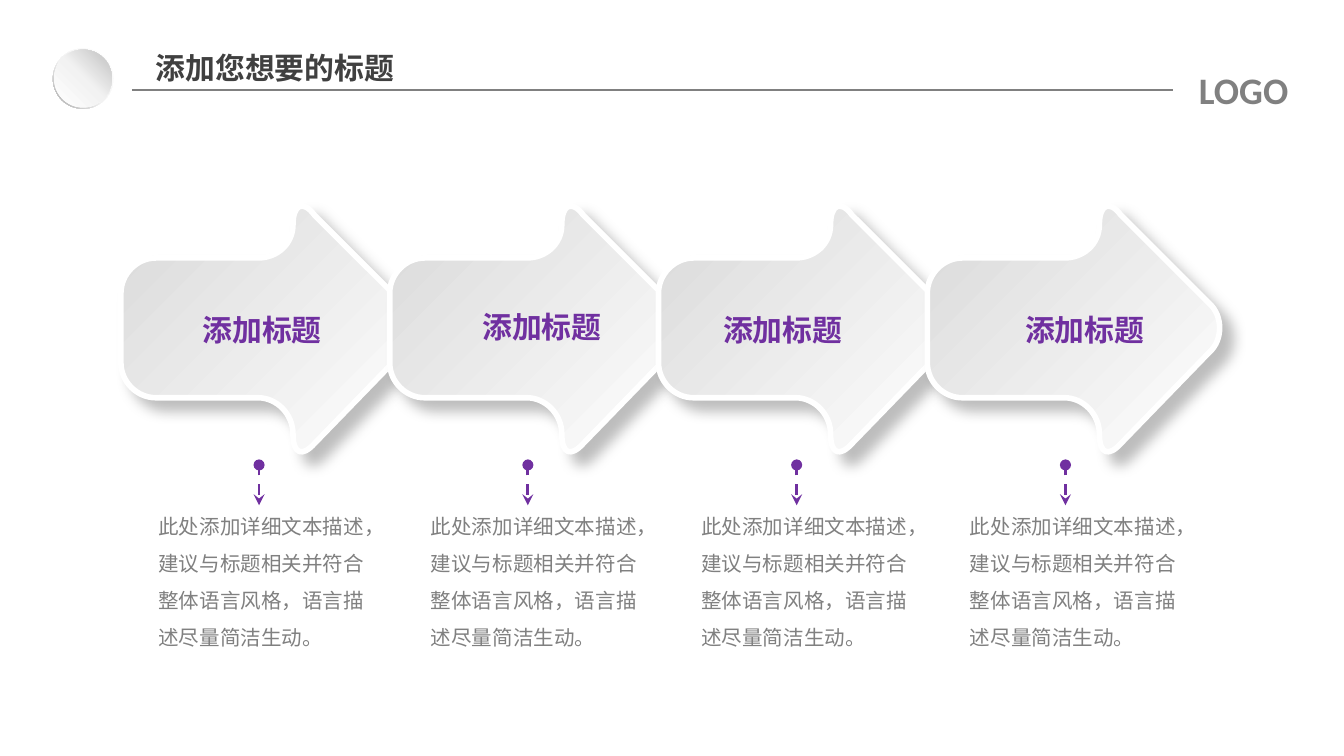
from lxml.etree import SubElement
from pptx import Presentation
from pptx.dml.color import RGBColor
from pptx.enum.dml import MSO_LINE
from pptx.enum.shapes import MSO_CONNECTOR as Connector, MSO_SHAPE as Shape
from pptx.enum.text import MSO_ANCHOR as Anchor, MSO_AUTO_SIZE as AutoSize, PP_ALIGN as Align
from pptx.oxml.ns import qn
from pptx.util import Pt

CJK_FONT = "Noto Sans CJK SC"
GRAY, PURPLE = "808080", "7030A0"
DESCRIPTION = "此处添加详细文本描述，建议与标题相关并符合整体语言风格，语言描述尽量简洁生动。"

TITLE_STYLE = dict(size=16, font=CJK_FONT, color="404040", bold=True, spacing=19.4)
LOGO_STYLE = dict(size=20, font="Calibri", color=GRAY, bold=True, align=Align.CENTER)
STEP_STYLE = dict(TITLE_STYLE, color=PURPLE, align=Align.CENTER)
BODY_STYLE = dict(size=11, font=CJK_FONT, color=GRAY, spacing=19.8)
WIDE_MARGINS, NARROW_MARGINS = (7.2, 3.6), (5.4, 2.7)

ARROW_LEFT, ARROW_PITCH = 64.8, 144
# Corner curves of the arrow, joined by straight lines; x counts from its left edge
ARROW_CURVES = [
    [(151.2, 188.6), (158.4, 182.2), (158.4, 169.2), (151.2, 162.7)],
    [(103.7, 115.2), (97.2, 106.6), (92.2, 110.2), (92.2, 120.2)],
    [(92.2, 120.2), (92.2, 131), (83.5, 138.2), (73.4, 138.2)],
    [(18.7, 138.2), (8.6, 138.2), (0, 146.9), (0, 157)],
    [(0, 194.4), (0, 204.5), (8.6, 213.1), (18.7, 213.1)],
    [(73.4, 213.1), (83.5, 213.1), (92.2, 221.8), (92.2, 232.6)],
    [(92.2, 232.6), (92.2, 243.4), (97.2, 244.8), (103.7, 237.6)],
]

# Label left, top, width and alignment; description left and width
STEPS = [
    ((82.1, 163.9, 116.6, Align.CENTER), (79.4, 128.9)),
    ((234.9, 162.6, 110.9, Align.CENTER), (225.4, 127.4)),
    ((382, 163.9, 109.4, Align.LEFT), (370.3, 126.7)),
    ((527.8, 163.9, 106.6, Align.CENTER), (514.2, 123.8)),
]


def rgb(value):
    return RGBColor.from_string(value)


def write_text(box, text, margins, style):
    frame = box.text_frame
    horizontal, vertical = map(Pt, margins)
    layout = {
        "word_wrap": True, "auto_size": AutoSize.NONE, "vertical_anchor": Anchor.TOP,
        "margin_left": horizontal, "margin_right": horizontal,
        "margin_top": vertical, "margin_bottom": vertical,
    }
    for name, value in layout.items():
        setattr(frame, name, value)
    para = frame.paragraphs[0]
    para.alignment = style.get("align", Align.LEFT)
    if "spacing" in style:
        para.line_spacing = Pt(style["spacing"])
    span = para.add_run()
    span.text = text
    font = span.font
    formats = {"size": Pt(style["size"]), "name": style["font"], "bold": style.get("bold", False)}
    for name, value in formats.items():
        setattr(font, name, value)
    font.color.rgb = rgb(style["color"])
    SubElement(span._r.get_or_add_rPr(), qn("a:ea"), typeface=style["font"])


def add_text(slide, text, place, margins, style):
    box = slide.shapes.add_textbox(*map(Pt, place))
    write_text(box, text, margins, style)


def fill_gradient(shape, stops, angle):
    """Fill with (percent, colour) stops along a clockwise angle in degrees."""
    shape.fill.gradient()
    shape.fill.gradient_angle = (360 - angle) % 360
    stop_list = shape._element.spPr.find(qn("a:gradFill")).find(qn("a:gsLst"))
    stop_list.clear()
    for percent, color in stops:
        stop = SubElement(stop_list, qn("a:gs"), pos=str(percent * 1000))
        SubElement(stop, qn("a:srgbClr"), val=color)


def add_badge(slide):
    group = slide.shapes.add_group_shape()
    ring = group.shapes.add_shape(Shape.DONUT, Pt(28.3), Pt(25.9), Pt(32.4), Pt(32.4))
    ring.adjustments[0] = 0.05
    disc = group.shapes.add_shape(Shape.OVAL, Pt(29), Pt(26.6), Pt(31), Pt(31))
    fill_gradient(ring, [(0, "FFFFFF"), (55, "F2F2F2"), (100, "A6A6A6")], 135)
    fill_gradient(disc, [(0, "FFFFFF"), (51, "F2F2F2"), (100, "BFBFBF")], 315)
    for shape in (ring, disc):
        shape.line.fill.background()
        shape.shadow.inherit = False


def add_line(slide, start, end, color, width):
    line = slide.shapes.add_connector(Connector.STRAIGHT, *map(Pt, start + end))
    line.line.color.rgb = rgb(color)
    line.line.width = Pt(width)
    SubElement(line._element.spPr, qn("a:effectLst"))
    return line


def add_pointer(slide, x):
    pointer = add_line(slide, (x, 270.7), (x, 249.1), PURPLE, 1.5)
    pointer.line.dash_style = MSO_LINE.DASH
    outline = pointer.line._get_or_add_ln()
    SubElement(outline, qn("a:headEnd"), type="stealth")
    SubElement(outline, qn("a:tailEnd"), type="oval")


def bend_corners(shape):
    """Turn the last three of every four vertices into one Bezier curve."""
    outline = next(shape._element.iter(qn("a:path")))
    vertices = list(outline)
    for index in range(0, 4 * len(ARROW_CURVES), 4):
        curve = SubElement(outline, qn("a:cubicBezTo"))
        vertices[index].addnext(curve)
        for vertex in vertices[index + 1:index + 4]:
            curve.append(vertex[0])
            outline.remove(vertex)


def add_shadow(shape):
    shape.shadow.inherit = False
    effects = shape._element.spPr.find(qn("a:effectLst"))
    shadow = SubElement(effects, qn("a:outerShdw"), blurRad=str(Pt(7)), dist=str(Pt(8)),
                        dir="2700000", algn="tl", rotWithShape="0")
    color = SubElement(shadow, qn("a:srgbClr"), val="000000")
    SubElement(color, qn("a:alpha"), val="25000")


def add_arrow(slide, left):
    points = [(Pt(left + x), Pt(y)) for curve in ARROW_CURVES for x, y in curve]
    builder = slide.shapes.build_freeform(*points[0])
    builder.add_line_segments(points[1:], close=True)
    arrow = builder.convert_to_shape()
    bend_corners(arrow)
    fill_gradient(arrow, [(0, "D9D9D9"), (100, "FFFFFF")], 45)
    arrow.line.color.rgb = rgb("FFFFFF")
    arrow.line.width = Pt(3)
    add_shadow(arrow)


def add_title(slide, text):
    title = slide.shapes.title
    place = {"left": 76.3, "top": 22.6, "width": 221, "height": 26.6}
    for name, value in place.items():
        setattr(title, name, Pt(value))
    write_text(title, text, WIDE_MARGINS, TITLE_STYLE)


def main():
    deck = Presentation()
    deck.slide_width, deck.slide_height = Pt(720), Pt(405)
    slide = deck.slides.add_slide(deck.slide_layouts[5])

    add_badge(slide)
    add_line(slide, (70.6, 48.2), (628.6, 48.2), GRAY, 1.25)
    add_text(slide, "LOGO", (620.9, 32.4, 90.7, 31.7), WIDE_MARGINS, LOGO_STYLE)
    add_title(slide, "添加您想要的标题")

    arrow_lefts = [ARROW_LEFT + index * ARROW_PITCH for index in range(len(STEPS))]
    for left in arrow_lefts:
        add_arrow(slide, left)
    for arrow_left, (label, description) in zip(arrow_lefts, STEPS):
        left, top, width, align = label
        add_text(slide, "添加标题", (left, top, width, 25.2), NARROW_MARGINS,
                 dict(STEP_STYLE, align=align))
        left, width = description
        add_text(slide, DESCRIPTION, (left, 266.2, width, 85.7), NARROW_MARGINS, BODY_STYLE)
        add_pointer(slide, arrow_left + 74)

    deck.save("out.pptx")


if __name__ == "__main__":
    main()
